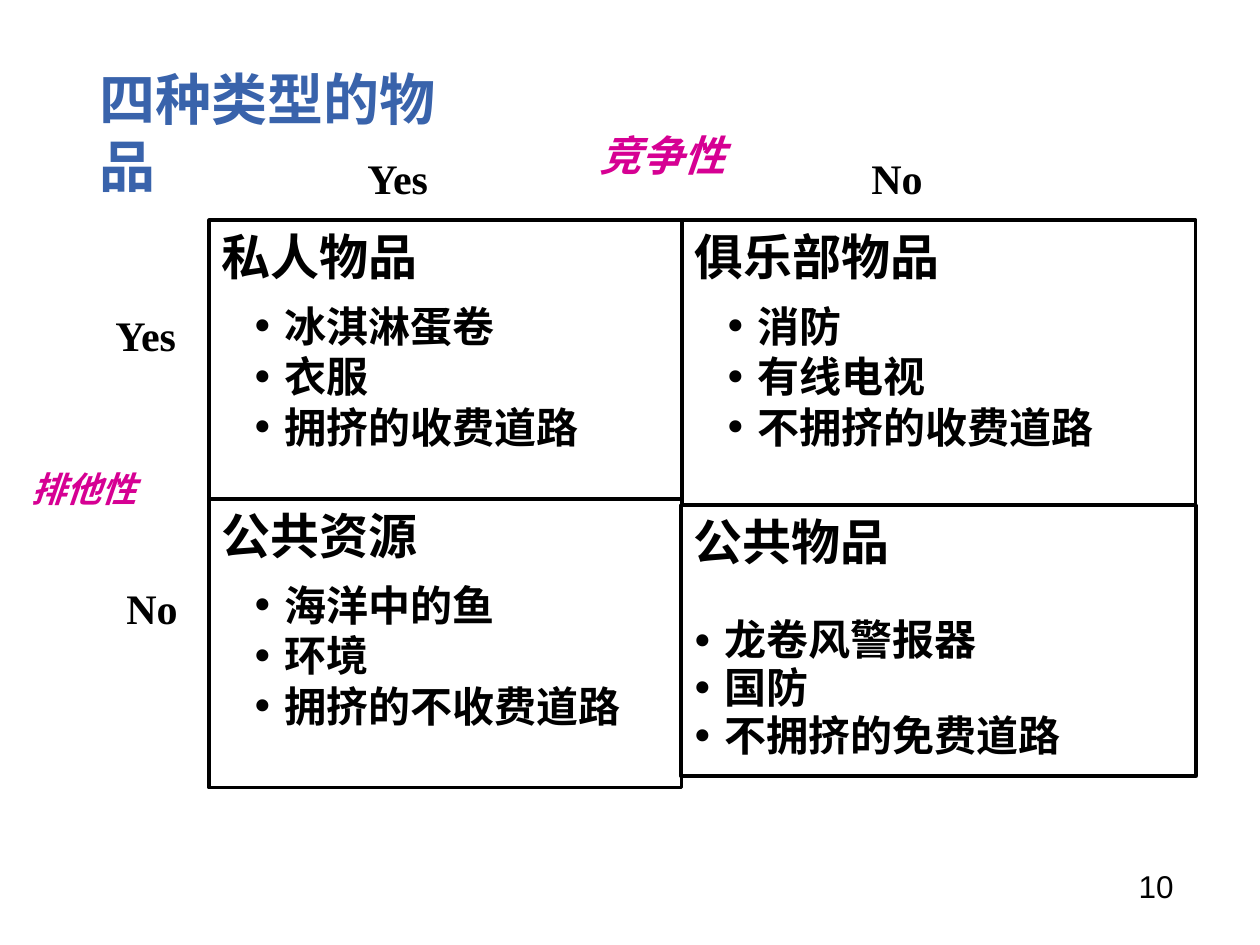
from lxml.etree import SubElement
from pptx import Presentation
from pptx.dml.color import RGBColor
from pptx.enum.shapes import MSO_SHAPE
from pptx.enum.text import MSO_ANCHOR, MSO_AUTO_SIZE, PP_ALIGN
from pptx.oxml.ns import qn
from pptx.util import Emu, Pt

PX = 914400 / 126
COLORS = {"ink": "000000", "paper": "FFFFFF", "title": "3963AB", "axis": "D60093"}
SERIF = "Times New Roman"

# Left, top, width, height, outline, heading, bullet margin, format, goods
QUADRANTS = [
    (209, 220, 473, 289, 1.75, "私人物品", 63, {"before": 8.8},
     ["冰淇淋蛋卷", "衣服", "拥挤的收费道路"]),
    (209, 499, 473, 289, 1.75, "公共资源", 63, {"before": 8.8},
     ["海洋中的鱼", "环境", "拥挤的不收费道路"]),
    (682, 220, 514, 289, 1.75, "俱乐部物品", 63, {"before": 8.8},
     ["消防", "有线电视", "不拥挤的收费道路"]),
    (681, 505, 515, 271, 2, "公共物品", 31, {"before": 27, "spacing": 0.95},
     ["龙卷风警报器", "国防", "不拥挤的免费道路"]),
]

# Text, left, top, width, height, format
LABELS = [
    ("排他性", 19, 471, 130, 44, {"size": 20, "color": "axis", "italic": True}),
    ("竞争性", 587, 135, 151, 50, {"color": "axis", "italic": True}),
    ("Yes", 355, 158, 91, 50, {}),
    ("No", 859, 158, 77, 50, {}),
    ("Yes", 103, 315, 91, 50, {}),
    ("No", 114, 588, 77, 50, {}),
]


def px(length):
    return Emu(round(length * PX))


def color(name):
    return RGBColor.from_string(COLORS[name])


def place(box, left, top, width, height, wrap=True):
    box.left, box.top = px(left), px(top)
    box.width, box.height = px(width), px(height)
    frame = box.text_frame
    frame.auto_size = MSO_AUTO_SIZE.NONE
    frame.word_wrap = wrap
    frame.vertical_anchor = MSO_ANCHOR.TOP


def set_bullet(para, margin):
    """Give the paragraph a hanging bullet, or none when margin is zero."""
    props = para._p.get_or_add_pPr()
    props.set("marL", str(px(margin)))
    props.set("indent", str(-px(31) if margin else 0))
    if not margin:
        SubElement(props, qn("a:buNone"))
        return
    tint = SubElement(props, qn("a:buClr"))
    SubElement(tint, qn("a:srgbClr"), val=COLORS["ink"])
    SubElement(props, qn("a:buSzPct"), val="120000")
    SubElement(props, qn("a:buFont"), typeface=SERIF)
    SubElement(props, qn("a:buChar"), char="•")


def write(para, text, size=24, font=SERIF, ink="ink", bold=True, italic=False,
          align=PP_ALIGN.LEFT, spacing=1.0, before=0, margin=0):
    set_bullet(para, margin)
    para.alignment = align
    para.line_spacing = spacing
    para.space_before, para.space_after = Pt(before), Pt(0)
    span = para.add_run()
    span.text = text
    span.font.name, span.font.size = font, Pt(size)
    span.font.bold, span.font.italic = bold, italic
    span.font.color.rgb = color(ink)


def fill_quadrant(box, left, top, width, height, outline, heading, margin,
                  style, goods):
    place(box, left, top, width, height)
    box.fill.solid()
    box.fill.fore_color.rgb = color("paper")
    box.line.color.rgb = color("ink")
    box.line.width = Pt(outline)
    frame = box.text_frame
    write(frame.paragraphs[0], heading, size=28)
    for index, good in enumerate(goods):
        before = 0 if index else style["before"]
        write(frame.add_paragraph(), good, margin=margin,
              **{**style, "before": before})


def add_label(page, text, left, top, width, height, style):
    box = page.shapes.add_shape(MSO_SHAPE.RECTANGLE, px(left), px(top),
                                px(width), px(height))
    place(box, left, top, width, height, wrap=False)
    box.shadow.inherit = False
    box.fill.solid()
    box.fill.fore_color.rgb = color("paper")
    box.line.fill.background()
    write(box.text_frame.paragraphs[0], text, spacing=0.75,
          size=style.get("size", 24), ink=style.get("color", "ink"),
          italic=style.get("italic", False))


def add_page_number(page, number):
    box = page.shapes.add_textbox(0, 0, 0, 0)
    place(box, 924, 861, 262, 63)
    write(box.text_frame.paragraphs[0], number, size=18, font="Arial",
          bold=False, align=PP_ALIGN.RIGHT)


def main():
    deck = Presentation()
    deck.slide_width, deck.slide_height = px(1260), px(945)
    # The comparison layout has a title and four body placeholders
    page = deck.slides.add_slide(deck.slide_layouts[4])

    # Title
    title = page.shapes.title
    place(title, 87, 58, 417, 81, wrap=False)
    write(title.text_frame.paragraphs[0], "四种类型的物品", size=32,
          font="Cambria", ink="title")

    # Four kinds of goods
    for number, quadrant in enumerate(QUADRANTS, start=1):
        fill_quadrant(page.placeholders[number], *quadrant)

    # Axis names and values
    for label in LABELS:
        add_label(page, *label)

    add_page_number(page, "10")
    deck.save("out.pptx")


if __name__ == "__main__":
    main()
